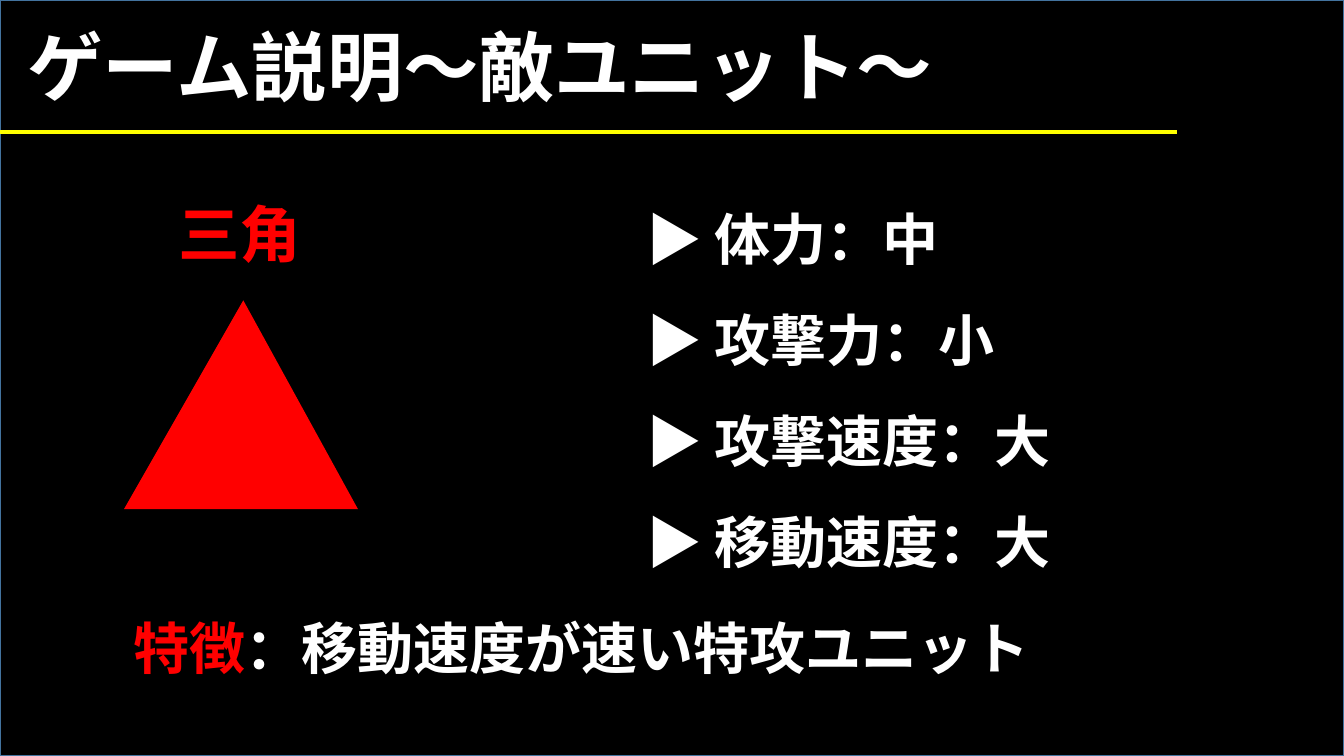
from lxml.etree import SubElement
from pptx import Presentation
from pptx.dml.color import RGBColor
from pptx.enum.shapes import MSO_CONNECTOR as CONN, MSO_SHAPE as SHAPE
from pptx.enum.text import MSO_ANCHOR as ANCHOR, MSO_AUTO_SIZE as FIT, PP_ALIGN as ALIGN
from pptx.oxml.ns import qn
from pptx.util import Inches, Pt

BLACK = RGBColor(0x00, 0x00, 0x00)
WHITE = RGBColor(0xFF, 0xFF, 0xFF)
RED = RGBColor(0xFF, 0x00, 0x00)
YELLOW = RGBColor(0xFF, 0xFF, 0x00)
BLUE = RGBColor(0x43, 0x73, 0x9E)
FONT = "Noto Sans CJK JP"


class SlideBuilder:
    """Places styled elements; every box is given in percent of the slide."""

    def __init__(self, prs):
        self.prs = prs
        self.slide = prs.slides.add_slide(prs.slide_layouts[1])
        self.shapes = self.slide.shapes

    def place(self, *box):
        sizes = (self.prs.slide_width, self.prs.slide_height) * 2
        return [round(size * share / 100) for size, share in zip(sizes, box)]

    def style_run(self, r, size, color):
        r.font.size = Pt(size)
        r.font.bold = True
        r.font.color.rgb = color
        r.font.name = FONT
        SubElement(r.font._element, qn("a:ea")).set("typeface", FONT)

    def fill_text(self, sp, box, paragraphs, size, align=ALIGN.LEFT, spacing=1.0):
        """Each paragraph is a list of (text, color) runs."""
        sp.left, sp.top, sp.width, sp.height = self.place(*box)
        tf = sp.text_frame
        tf.word_wrap = True
        tf.auto_size = FIT.NONE
        tf.vertical_anchor = ANCHOR.TOP
        for i, runs in enumerate(paragraphs):
            p = tf.add_paragraph() if i else tf.paragraphs[0]
            p.alignment = align
            p.line_spacing = spacing
            p.space_before = Pt(0)
            pPr = p._p.get_or_add_pPr()
            pPr.set("marL", "0")
            pPr.set("indent", "0")
            SubElement(pPr, qn("a:buNone"))
            for text, color in runs:
                r = p.add_run()
                r.text = text
                self.style_run(r, size, color)

    def title(self, box, text, size):
        self.fill_text(self.shapes.title, box, [[(text, WHITE)]], size)

    def body(self, box, lines, size, spacing):
        paragraphs = [[(line, WHITE)] for line in lines]
        self.fill_text(self.slide.placeholders[1], box, paragraphs, size, spacing=spacing)

    def text(self, box, runs, size, align=ALIGN.LEFT):
        sp = self.shapes.add_textbox(0, 0, 0, 0)
        self.fill_text(sp, box, [runs], size, align)

    def shape(self, kind, box, fill, line=None):
        sp = self.shapes.add_shape(kind, *self.place(*box))
        sp.shadow.inherit = False
        sp.fill.solid()
        sp.fill.fore_color.rgb = fill
        if line is None:
            sp.line.fill.background()
        else:
            sp.line.color.rgb = line
            sp.line.width = Pt(1)
        return sp

    def backdrop(self, fill, line):
        sp = self.shape(SHAPE.RECTANGLE, (0, 0, 100, 100), fill, line)
        self.shapes._spTree.insert(2, sp._element)  # behind the placeholders

    def rule(self, ends, color, width):
        line = self.shapes.add_connector(CONN.STRAIGHT, *self.place(*ends))
        line.line.color.rgb = color
        line.line.width = Pt(width)
        SubElement(line._element.spPr, qn("a:effectLst"))


def main():
    prs = Presentation()
    prs.slide_width, prs.slide_height = Inches(13.33), Inches(7.5)
    s = SlideBuilder(prs)

    # Backdrop and heading
    s.backdrop(BLACK, BLUE)
    s.title((1.28, 2, 70, 13.47), "ゲーム説明～敵ユニット～", 54)

    # Enemy name and stats
    s.text((12.45, 25.2, 10.8, 11.2), [("三角", RED)], 44, ALIGN.CENTER)
    stats = {"体力": "中", "攻撃力": "小", "攻撃速度": "大", "移動速度": "大"}
    s.body((47.34, 22, 32.18, 55.2),
           [f"▶ {stat}：{level}" for stat, level in stats.items()], 40, 1.5)

    # Characteristic
    s.text((9.23, 80.53, 68.87, 10.27),
           [("特徴", RED), ("：移動速度が速い特攻ユニット", WHITE)], 40)

    # Enemy figure and heading rule
    triangle = s.shape(SHAPE.ISOSCELES_TRIANGLE, (9.23, 39.73, 17.4, 27.6), RED)
    triangle.adjustments[0] = 0.51
    s.rule((0, 17.47, 87.55, 17.47), YELLOW, 3)

    prs.save("out.pptx")


if __name__ == "__main__":
    main()
